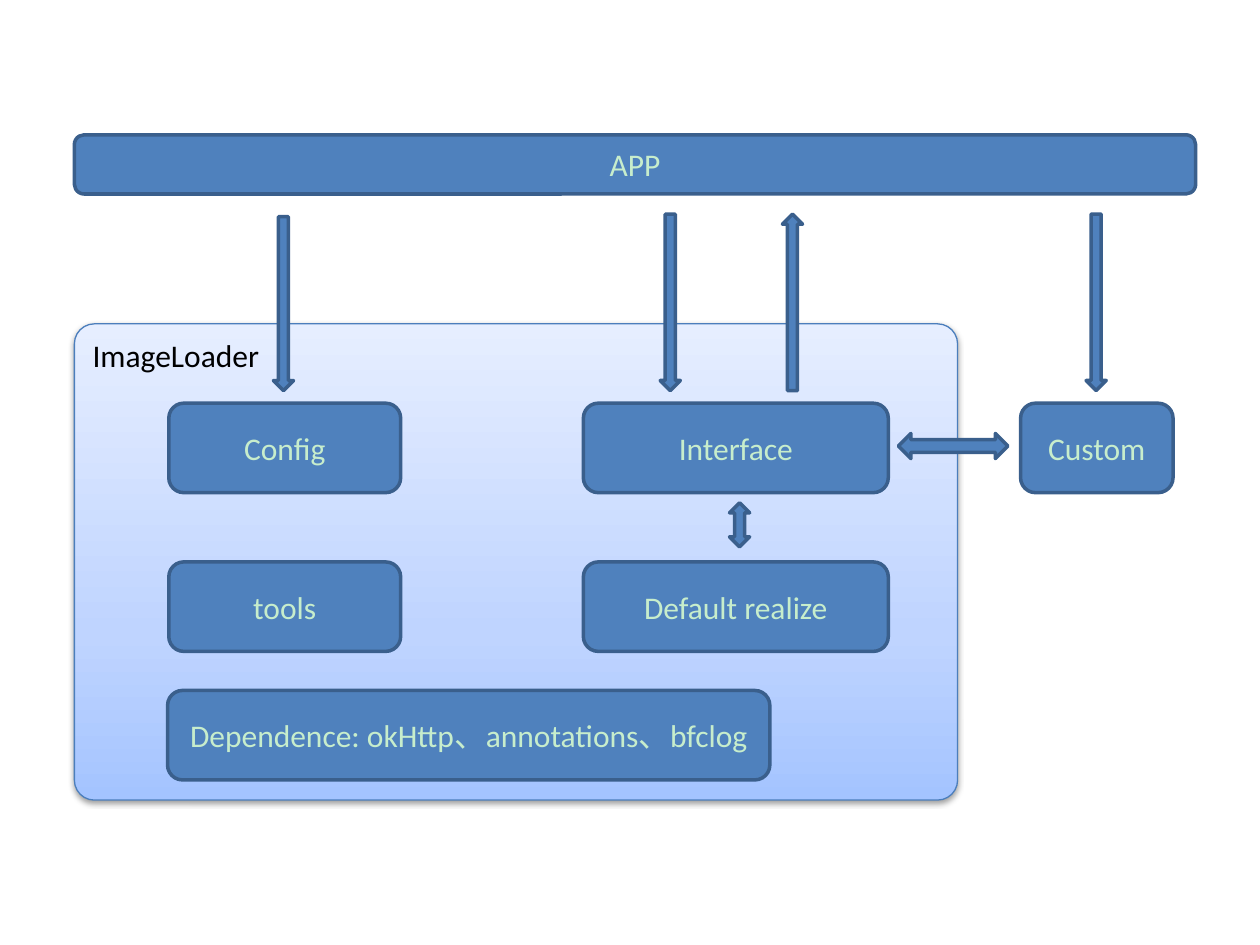
from copy import deepcopy
from dataclasses import dataclass

from lxml import etree
from pptx import Presentation, util as u
from pptx.dml.color import RGBColor
from pptx.enum import shapes, text
from pptx.oxml.ns import qn

Kind = shapes.MSO_SHAPE


@dataclass(frozen=True)
class Theme:
    fill: str = "4F81BD"
    edge: str = "3A5F8C"
    label: str = "C7EDCC"
    panel_edge: str = "4B7EBC"
    panel_label: str = "000000"
    panel_stops: tuple = ((0, "A4C4FF"), (0.35, "BFD4FF"), (1, "E6EEFF"))
    font: str = "Calibri"
    size: float = 18
    edge_width: float = 2
    panel_edge_width: float = 0.75


@dataclass(frozen=True)
class Span:
    """A column (left, width) or a row (top, height), in inches."""
    start: float
    length: float


@dataclass(frozen=True)
class Item:
    kind: Kind
    column: Span
    row: Span
    label: str = ""


THEME = Theme()

# Grid of the diagram
LEFT, MIDDLE, RIGHT = Span(1.34, 1.84), Span(4.63, 2.42), Span(8.1, 1.21)
APP_ROW, CALL_ROW = Span(1.07, 0.47), Span(1.7, 1.4)
TOP_ROW, LOWER_ROW, BASE_ROW = (Span(top, 0.71) for top in (3.2, 4.46, 5.48))
ARROW_WIDTH = 0.16

PANEL = Item(Kind.ROUNDED_RECTANGLE, Span(0.59, 7.01), Span(2.57, 3.78), "ImageLoader")
BOXES = [Item(Kind.ROUNDED_RECTANGLE, *place) for place in (
    (Span(0.59, 8.9), APP_ROW, "APP"),
    (MIDDLE, LOWER_ROW, "Default realize"),
    (MIDDLE, TOP_ROW, "Interface"),
    (LEFT, TOP_ROW, "Config"),
    (RIGHT, TOP_ROW, "Custom"),
    (Span(1.33, 4.78), BASE_ROW, "Dependence: okHttp、annotations、bfclog"),
    (LEFT, LOWER_ROW, "tools"),
)]
ARROWS = [Item(kind, Span(left, ARROW_WIDTH), row) for kind, left, row in (
    (Kind.DOWN_ARROW, 2.17, Span(1.72, 1.38)),
    (Kind.DOWN_ARROW, 5.24, CALL_ROW),
    (Kind.DOWN_ARROW, 8.62, CALL_ROW),
    (Kind.UP_ARROW, 6.21, CALL_ROW),
    (Kind.UP_DOWN_ARROW, 5.79, Span(3.99, 0.35)),
)] + [Item(Kind.LEFT_RIGHT_ARROW, Span(7.13, 0.87), Span(3.44, 0.2))]


def color(code: str) -> RGBColor:
    return RGBColor.from_string(code)


def apply(target, formats: dict) -> None:
    for name, value in formats.items():
        setattr(target, name, value)


def add_item(page, item: Item, edge: str, width: float):
    """Add an outlined shape without a shadow."""
    shape = page.shapes.add_shape(item.kind, *(u.Inches(value) for value in (
        item.column.start, item.row.start, item.column.length, item.row.length)))
    shape.shadow.inherit = False
    shape.line.color.rgb = color(edge)
    shape.line.width = u.Pt(width)
    return shape


def write(shape, label: str, ink: str, anchor, align) -> None:
    apply(shape.text_frame, {"word_wrap": True, "vertical_anchor": anchor})
    para = shape.text_frame.paragraphs[0]
    para.alignment = align
    span = para.add_run()
    span.text = label
    apply(span.font, {"name": THEME.font, "size": u.Pt(THEME.size)})
    span.font.color.rgb = color(ink)


def add_solid(page, item: Item) -> None:
    shape = add_item(page, item, THEME.edge, THEME.edge_width)
    shape.fill.solid()
    shape.fill.fore_color.rgb = color(THEME.fill)
    if item.label:
        write(shape, item.label, THEME.label,
              text.MSO_ANCHOR.MIDDLE, text.PP_ALIGN.CENTER)


def add_panel(page, item: Item) -> None:
    shape = add_item(page, item, THEME.panel_edge, THEME.panel_edge_width)
    shape.adjustments[0] = 0.042
    # Three-stop gradient, darkest at the bottom
    shape.fill.gradient()
    shape.fill.gradient_angle = 90
    properties = shape._element.spPr
    stops = properties.find(".//" + qn("a:gsLst"))
    stops.append(deepcopy(stops[-1]))
    for stop, (position, code) in zip(shape.fill.gradient_stops, THEME.panel_stops):
        stop.position = position
        stop.color.rgb = color(code)
    # Soft shadow below
    shadow = etree.SubElement(
        properties.find(qn("a:effectLst")), qn("a:outerShdw"),
        blurRad=str(u.Pt(3.1)), dist=str(u.Pt(1.6)), dir="5400000", rotWithShape="0")
    shade = etree.SubElement(shadow, qn("a:srgbClr"), val="000000")
    etree.SubElement(shade, qn("a:alpha"), val="38000")
    write(shape, item.label, THEME.panel_label,
          text.MSO_ANCHOR.TOP, text.PP_ALIGN.LEFT)


deck = Presentation()
apply(deck, {"slide_width": u.Inches(10), "slide_height": u.Inches(7.5)})
page = deck.slides.add_slide(deck.slide_layouts[6])

add_panel(page, PANEL)
for part in BOXES + ARROWS:
    add_solid(page, part)

deck.save("out.pptx")
